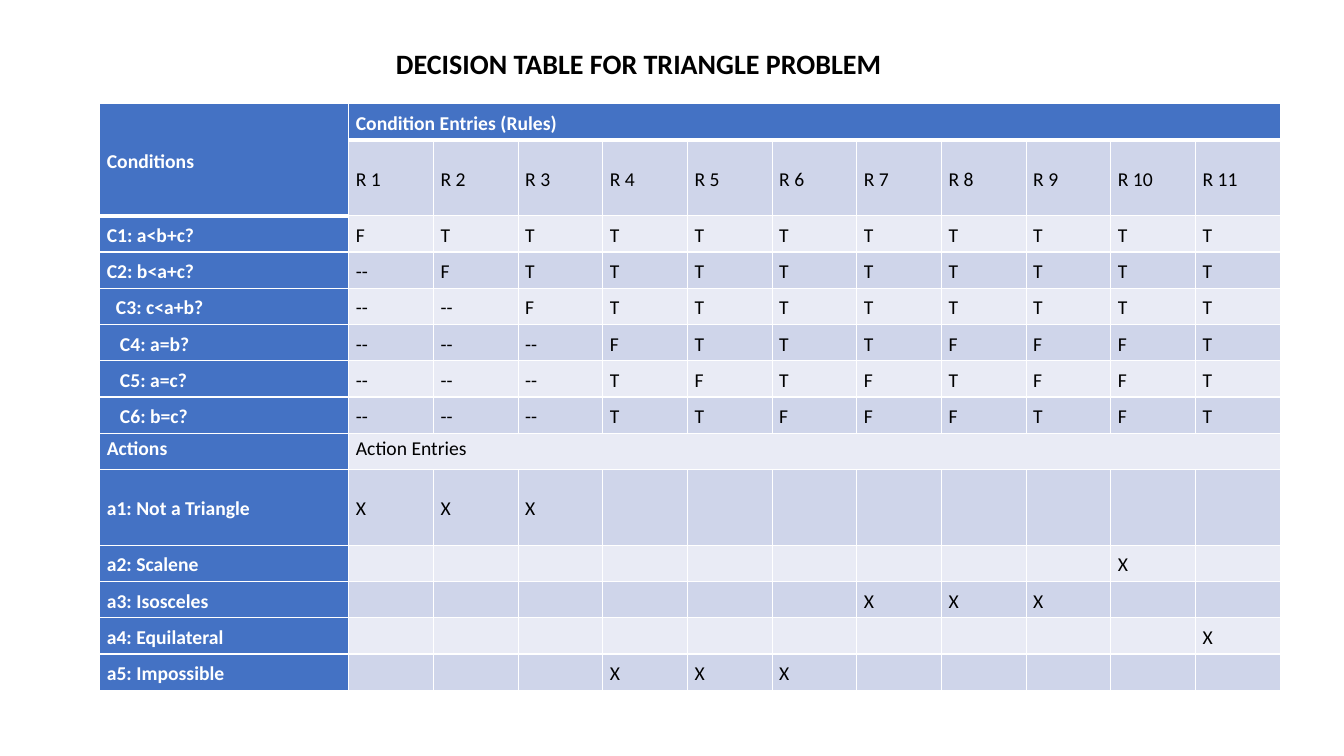
from lxml import etree
from pptx import Presentation
from pptx import util as u
from pptx.dml.color import RGBColor
from pptx.enum import text
from pptx.oxml.ns import qn

PX = 9144  # 100 px to the inch
BLUE = RGBColor(0x44, 0x72, 0xC4)
BAND_DARK = RGBColor(0xCF, 0xD5, 0xEA)
BAND_LIGHT = RGBColor(0xE9, 0xEB, 0xF5)
WHITE = RGBColor(0xFF, 0xFF, 0xFF)
BLACK = RGBColor(0, 0, 0)

RULES = 11
ACTIONS_ROW = 8
TALL_ROWS = (1, 9)
INDENTS = {4: 9, 5: 13, 6: 13, 7: 13}  # row: extra px before its label

# Each condition has one letter per rule; "-" is an irrelevant entry
CONDITIONS = {
    "C1: a<b+c?": "FTTTTTTTTTT",
    "C2: b<a+c?": "-FTTTTTTTTT",
    "C3: c<a+b?": "--FTTTTTTTT",
    "C4: a=b?": "---FTTTFFFT",
    "C5: a=c?": "---TFTFTFFT",
    "C6: b=c?": "---TTFFFTFT",
}
# Each action lists the rules that lead to it
ACTIONS = {
    "a1: Not a Triangle": (1, 2, 3),
    "a2: Scalene": (10,),
    "a3: Isosceles": (7, 8, 9),
    "a4: Equilateral": (11,),
    "a5: Impossible": (4, 5, 6),
}

rows = [["Conditions", "Condition Entries (Rules)"]]
rows.append([""] + [f"R {rule}" for rule in range(1, RULES + 1)])
for label, entries in CONDITIONS.items():
    rows.append([label] + [entry.replace("-", "--") for entry in entries])
rows.append(["Actions", "Action Entries"])
for label, chosen in ACTIONS.items():
    rows.append([label] + ["X" if rule in chosen else "" for rule in range(1, RULES + 1)])


def style_text(para, content, **font):
    span = para.add_run()
    span.text = content
    span.font.color.rgb = font.pop("color")
    for name, value in font.items():
        setattr(span.font, name, value)


def add_border(cell, side, points):
    line = etree.SubElement(cell._tc.get_or_add_tcPr(), qn(f"a:ln{side}"), w=str(u.Pt(points)))
    fill = etree.SubElement(line, qn("a:solidFill"))
    etree.SubElement(fill, qn("a:srgbClr"), val=str(WHITE))


deck = Presentation()
deck.slide_width, deck.slide_height = 1333 * PX, 750 * PX
page = deck.slides.add_slide(deck.slide_layouts[5])

title = page.shapes.title
title.left, title.top, title.width, title.height = (n * PX for n in (290, 41, 687, 44))
title.text_frame.word_wrap = True
title.text_frame.auto_size = text.MSO_AUTO_SIZE.NONE
title_para = title.text_frame.paragraphs[0]
title_para.alignment = text.PP_ALIGN.CENTER
style_text(title_para, "DECISION TABLE FOR TRIANGLE PROBLEM",
           name="Calibri", size=u.Pt(20), bold=True, color=BLACK)

frame = page.shapes.add_table(len(rows), RULES + 1, 99 * PX, 103 * PX, 1171 * PX, 582 * PX)
table = frame.table
table.first_col = True
for c, column in enumerate(table.columns):
    column.width = (84 if c else 247) * PX
for r, row in enumerate(table.rows):
    row.height = (75 if r in TALL_ROWS else 36) * PX

table.cell(0, 0).merge(table.cell(1, 0))
for r in (0, ACTIONS_ROW):
    table.cell(r, 1).merge(table.cell(r, RULES))

for r in range(len(rows)):
    for c in range(RULES + 1):
        cell = table.cell(r, c)
        header = r == 0 or c == 0
        header_end = 0 if c else 1  # last row above the thick line
        borders = {
            "L": 1,
            "R": 1,
            "T": 3 if r == header_end + 1 else 1,
            "B": 3 if r in (0, header_end) else 1,
        }
        for side, points in borders.items():
            add_border(cell, side, points)
        cell.fill.solid()
        cell.fill.fore_color.rgb = BLUE if header else BAND_DARK if r % 2 else BAND_LIGHT

        indent = INDENTS.get(r, 0) if c == 0 else 0
        layout = {
            "margin_left": (7 + indent) * PX,
            "margin_right": 7 * PX,
            "margin_top": 0,
            "margin_bottom": 0,
            "vertical_anchor": text.MSO_ANCHOR.TOP if r == ACTIONS_ROW else text.MSO_ANCHOR.MIDDLE,
        }
        for name, value in layout.items():
            setattr(cell, name, value)

        content = rows[r][c] if c < len(rows[r]) else ""
        if content:
            para = cell.text_frame.paragraphs[0]
            para.alignment = text.PP_ALIGN.JUSTIFY
            para.line_spacing = 1.15
            style_text(para, content, name="Calibri", size=u.Pt(14), bold=header,
                       color=WHITE if header else BLACK)

deck.save("out.pptx")
